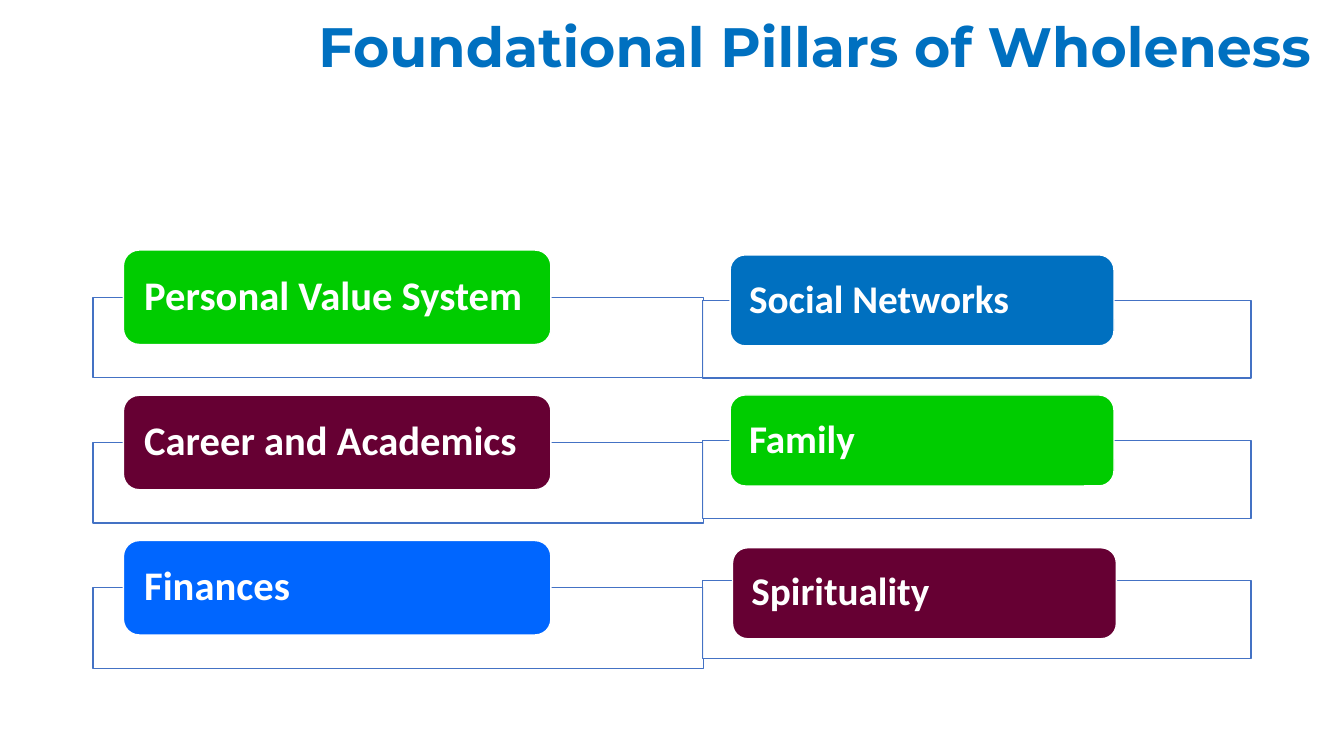
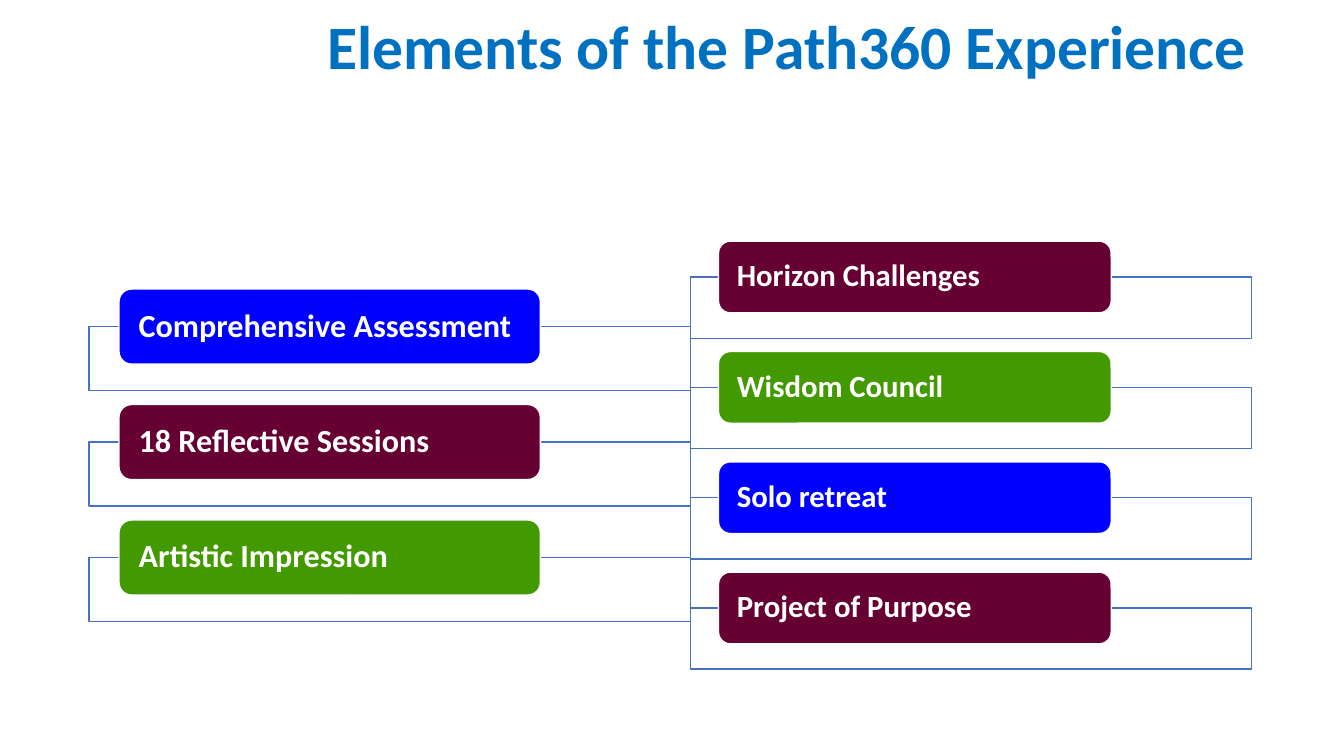
from lxml.etree import SubElement
from pptx import Presentation
from pptx.dml.color import RGBColor
from pptx.enum.shapes import MSO_SHAPE
from pptx.enum.text import MSO_ANCHOR, MSO_AUTO_SIZE, PP_ALIGN
from pptx.oxml.ns import qn
from pptx.util import Cm, Pt

# Shared look
SLIDE_W, SLIDE_H = 33.87, 19.05
TITLE_H = 2.51
WHITE, TITLE_BLUE, FRAME_LINE = "FFFFFF", "0070C0", "4472C4"
GREEN, LEAF, PLUM = "00CC00", "429A00", "660033"
AZURE, BLUE = "0066FF", "0000FF"
BODY_FONT, DISPLAY_FONT = "Calibri", "Montserrat"

# List proportions: heights relative to the row pitch, the rest to the frame width
FRAME_H, PILL_H = 0.555, 0.65
PILL_INDENT, PILL_W, PILL_INSET = 0.05, 0.7, 0.0265


def set_fill(sp, color, opacity=100):
    sp.fill.solid()
    sp.fill.fore_color.rgb = RGBColor.from_string(color)
    if opacity < 100:
        clr = sp.fill._xPr.find(qn("a:solidFill"))[0]
        SubElement(clr, qn("a:alpha")).set("val", str(opacity * 1000))


def add_text(tf, text, font, size, color):
    tf.word_wrap = True
    tf.auto_size = MSO_AUTO_SIZE.NONE
    tf.vertical_anchor = MSO_ANCHOR.MIDDLE
    p = tf.paragraphs[0]
    p.alignment = PP_ALIGN.LEFT
    p.line_spacing = 0.9
    r = p.add_run()
    r.text = text
    r.font.name, r.font.size, r.font.bold = font, Pt(size), True
    r.font.color.rgb = RGBColor.from_string(color)


def add_box(slide, kind, box, fill, line, opacity=100):
    sp = slide.shapes.add_shape(kind, *[Cm(v) for v in box])
    sp.shadow.inherit = False
    set_fill(sp, fill, opacity)
    sp.line.color.rgb = RGBColor.from_string(line)
    sp.line.width = Pt(1)
    return sp


def add_titled_slide(prs, title, left, font, size):
    slide = prs.slides.add_slide(prs.slide_layouts[5])
    sp = slide.shapes.title
    sp.left, sp.top = Cm(left), Cm(0)
    sp.width, sp.height = Cm(SLIDE_W - left), Cm(TITLE_H)
    set_fill(sp, WHITE, 53)
    add_text(sp.text_frame, title, font, size, TITLE_BLUE)
    return slide


def add_pill_list(slide, left, top, width, pitch, size, items):
    """Each item is (label, colour), with an optional (dx, dy) pill shift."""
    pill_h = pitch * PILL_H
    for i, (label, color, *shift) in enumerate(items):
        y = top + i * pitch
        dx, dy = shift[0] if shift else (0, 0)
        add_box(slide, MSO_SHAPE.RECTANGLE, (left, y, width, pitch * FRAME_H),
                WHITE, FRAME_LINE, 90)
        # The pill is centred on the top edge of its frame
        box = (left + width * PILL_INDENT + dx, y - pill_h / 2 + dy,
               width * PILL_W, pill_h)
        sp = add_box(slide, MSO_SHAPE.ROUNDED_RECTANGLE, box, color, WHITE)
        tf = sp.text_frame
        tf.margin_left = tf.margin_right = Cm(width * PILL_INSET)
        tf.margin_top = tf.margin_bottom = Cm(0)
        add_text(tf, label, BODY_FONT, size, WHITE)


def main():
    prs = Presentation()
    prs.slide_width, prs.slide_height = Cm(SLIDE_W), Cm(SLIDE_H)

    # Pillars
    slide = add_titled_slide(prs, "Foundational Pillars of Wholeness",
                             7.77, DISPLAY_FONT, 39.6)
    add_pill_list(slide, 2.34, 7.49, 15.39, 3.66, 29, [
        ("Personal Value System", GREEN),
        ("Career and Academics", PLUM),
        ("Finances", AZURE),
    ])
    add_pill_list(slide, 17.71, 7.57, 13.82, 3.53, 28, [
        ("Social Networks", TITLE_BLUE),
        ("Family", GREEN),
        ("Spirituality", PLUM, (0.06, 0.32)),
    ])

    # Elements
    slide = add_titled_slide(prs, "Elements of the Path360 Experience",
                             8, BODY_FONT, 44)
    add_pill_list(slide, 2.24, 8.23, 15.17, 2.91, 23, [
        ("Comprehensive Assessment", BLUE),
        ("18 Reflective Sessions", PLUM),
        ("Artistic Impression", LEAF),
    ])
    add_pill_list(slide, 17.4, 6.98, 14.14, 2.78, 22, [
        ("Horizon Challenges", PLUM),
        ("Wisdom Council", LEAF),
        ("Solo retreat", BLUE),
        ("Project of Purpose", PLUM),
    ])

    prs.save("out.pptx")


if __name__ == "__main__":
    main()
